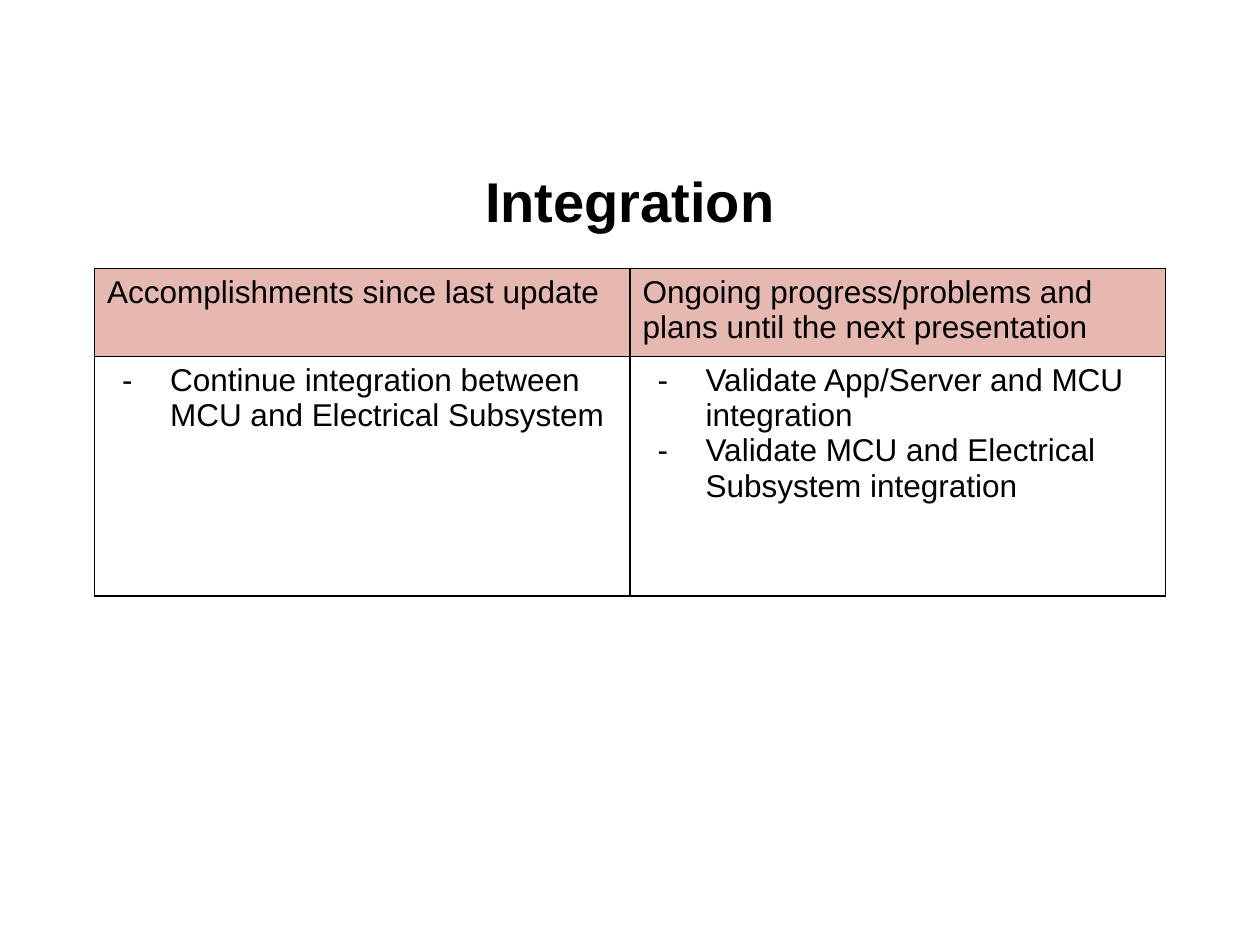
from lxml.etree import SubElement
from pptx import Presentation
from pptx.dml.color import RGBColor
from pptx.enum.text import MSO_ANCHOR, PP_ALIGN
from pptx.oxml.ns import qn
from pptx.util import Inches, Pt

FONT = "Arial"
BLACK = "000000"
HEADER_FILL = "E6B8AF"
WIDTH, HEIGHT = 10, 7.5
HEADINGS = [
    "Accomplishments since last update",
    "Ongoing progress/problems and plans until the next presentation",
]
ITEMS = [
    ["Continue integration between MCU and Electrical Subsystem"],
    ["Validate App/Server and MCU integration",
     "Validate MCU and Electrical Subsystem integration"],
]


def color(value):
    """Turn a hex string into a colour."""
    return RGBColor.from_string(value)


def add_dash(paragraph, indent=0.5, hanging=0.38):
    """Give a paragraph a hanging dash bullet."""
    properties = paragraph._p.get_or_add_pPr()
    properties.set("marL", str(Inches(indent)))
    properties.set("indent", str(-Inches(hanging)))
    bullet_color = SubElement(properties, qn("a:buClr"))
    SubElement(bullet_color, qn("a:srgbClr"), val=BLACK)
    SubElement(properties, qn("a:buFont"), typeface=FONT)
    SubElement(properties, qn("a:buChar"), char="-")


def write_text(frame, lines, size=18, bold=False, align=PP_ALIGN.LEFT, dashes=False):
    """Write one paragraph per line with a shared format."""
    for index, line in enumerate(lines):
        paragraph = frame.add_paragraph() if index else frame.paragraphs[0]
        paragraph.alignment = align
        if dashes:
            add_dash(paragraph)
        run = paragraph.add_run()
        run.text = line
        run.font.name = FONT
        run.font.size = Pt(size)
        run.font.bold = bold
        run.font.color.rgb = color(BLACK)


def format_cell(cell, fill=None):
    """Set the fill, margins and one-point borders of a cell."""
    cell.margin_left = cell.margin_right = Inches(0.1)
    cell.margin_top = cell.margin_bottom = Inches(0.05)
    properties = cell._tc.get_or_add_tcPr()
    for side in ("lnL", "lnR", "lnT", "lnB"):
        line = SubElement(properties, qn("a:" + side), w=str(Pt(1)))
        line_fill = SubElement(line, qn("a:solidFill"))
        SubElement(line_fill, qn("a:srgbClr"), val=BLACK)
    if fill:
        cell.fill.solid()
        cell.fill.fore_color.rgb = color(fill)
    else:
        cell.fill.background()


def place_title(slide, text, left, top, width, height):
    """Move and format the title placeholder."""
    title = slide.shapes.title
    title.left, title.top = Inches(left), Inches(top)
    title.width, title.height = Inches(width), Inches(height)
    title.text_frame.vertical_anchor = MSO_ANCHOR.MIDDLE
    write_text(title.text_frame, [text], size=32, bold=True, align=PP_ALIGN.CENTER)


def add_status_table(slide, left, top, width, row_heights):
    """Add the table of headings above dashed lists."""
    box = [Inches(value) for value in (left, top, width, sum(row_heights))]
    table = slide.shapes.add_table(len(row_heights), len(HEADINGS), *box).table
    table.first_row = table.horz_banding = False
    for row, height in zip(table.rows, row_heights):
        row.height = Inches(height)
    for index, (heading, items) in enumerate(zip(HEADINGS, ITEMS)):
        table.columns[index].width = Inches(width / len(HEADINGS))
        header, body = table.cell(0, index), table.cell(1, index)
        format_cell(header, HEADER_FILL)
        write_text(header.text_frame, [heading])
        format_cell(body)
        write_text(body.text_frame, items, dashes=True)


def main():
    """Build and save the slide."""
    presentation = Presentation()
    presentation.slide_width, presentation.slide_height = Inches(WIDTH), Inches(HEIGHT)
    slide = presentation.slides.add_slide(presentation.slide_layouts[5])
    place_title(slide, "Integration", 0.05 * WIDTH, 1.15, 0.9 * WIDTH, 0.88)
    add_status_table(slide, 0.075 * WIDTH, 2.13, 0.85 * WIDTH, [0.7, 1.9])
    presentation.save("out.pptx")


main()
